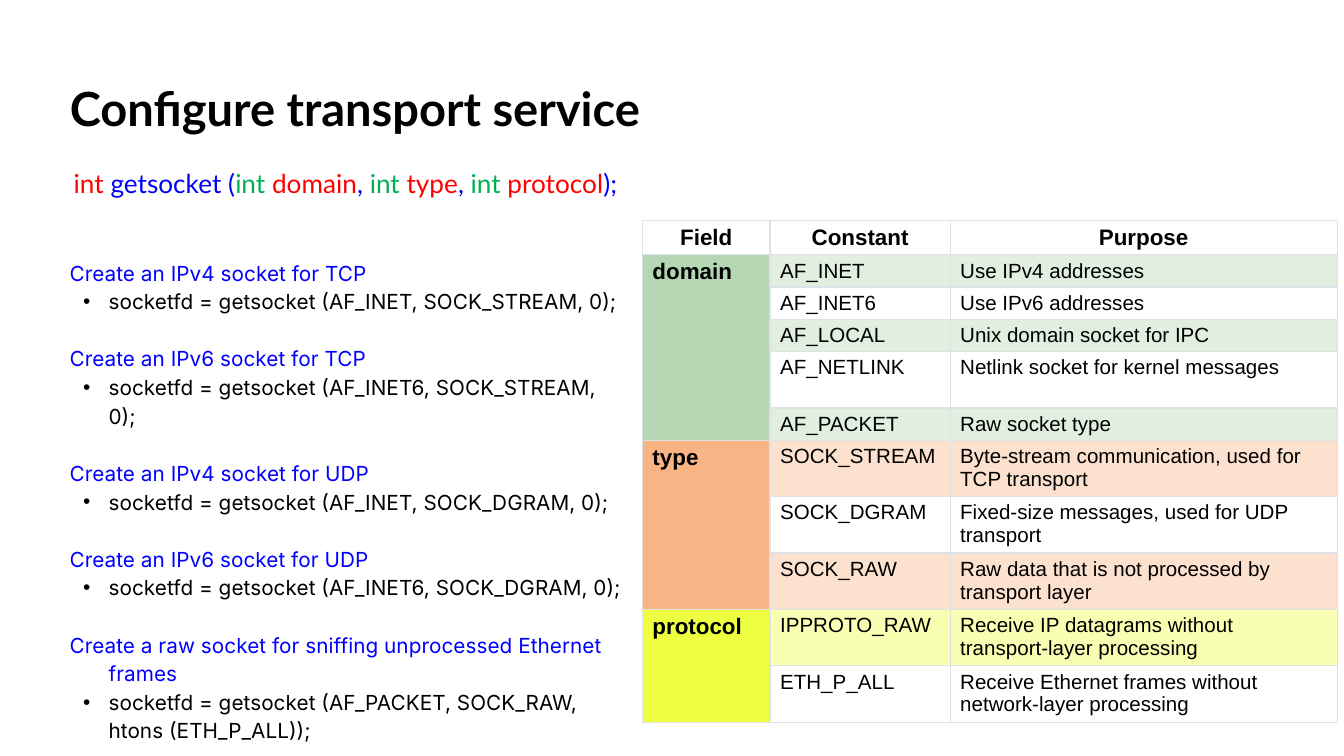
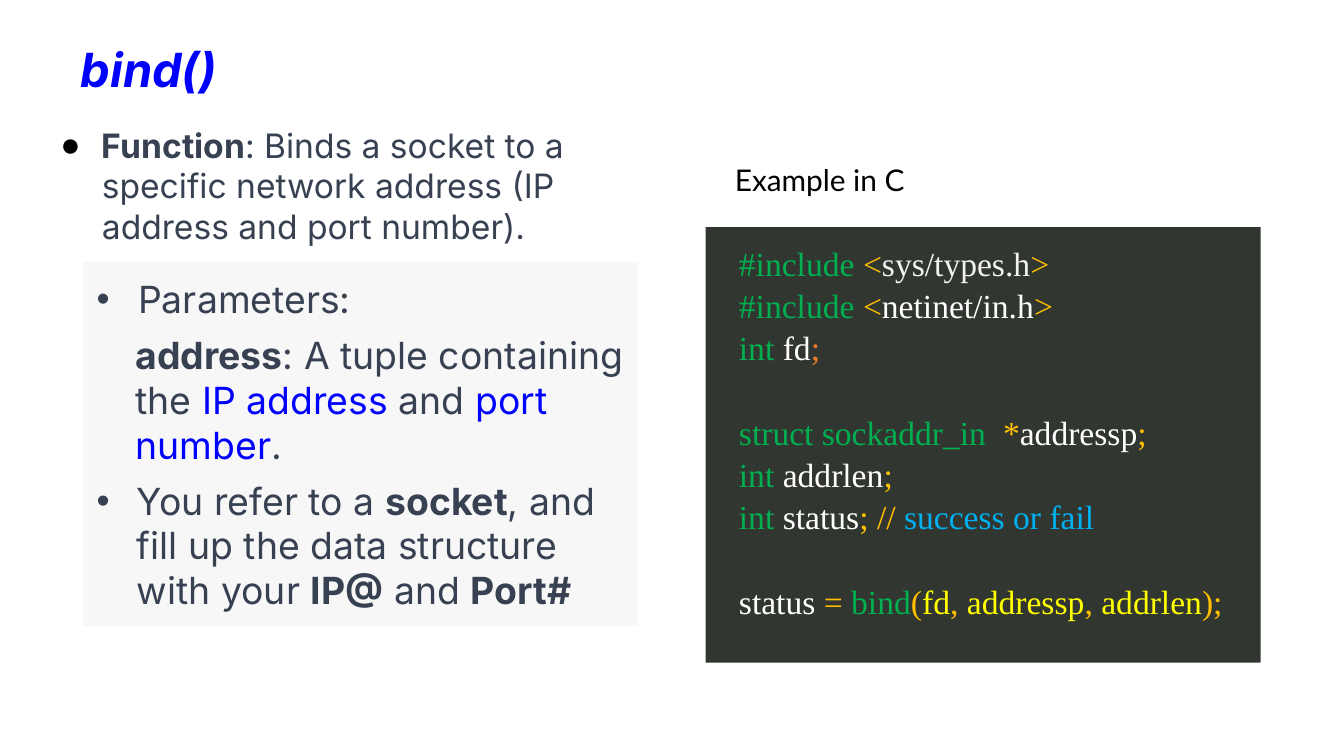
from itertools import product

from lxml.etree import SubElement
from pptx import Presentation
from pptx.dml.color import RGBColor
from pptx.enum.shapes import MSO_SHAPE
from pptx.enum.text import MSO_ANCHOR, MSO_AUTO_SIZE, PP_ALIGN
from pptx.oxml.ns import qn
from pptx.util import Inches, Pt

BLACK = RGBColor(0x00, 0x00, 0x00)
WHITE = RGBColor(0xFF, 0xFF, 0xFF)
BLUE = RGBColor(0x00, 0x00, 0xFF)
RED = RGBColor(0xFF, 0x00, 0x00)
GREEN = RGBColor(0x00, 0xB0, 0x50)
SLATE = RGBColor(0x37, 0x41, 0x51)
GOLD = RGBColor(0xFF, 0xC0, 0x00)
ORANGE = RGBColor(0xF3, 0x7D, 0x2A)
YELLOW = RGBColor(0xFF, 0xFF, 0x00)
SKY = RGBColor(0x00, 0xB0, 0xF0)
OFF_WHITE = RGBColor(0xF2, 0xF2, 0xF2)
PANEL_GREY = RGBColor(0xF7, 0xF7, 0xF8)
CODE_GREY = RGBColor(0x32, 0x36, 0x30)
GRID_GREY = RGBColor(0xDE, 0xE2, 0xE6)
DOMAIN_DARK = RGBColor(0xB5, 0xD6, 0xB2)
DOMAIN_LIGHT = RGBColor(0xE1, 0xEF, 0xE0)
TYPE_DARK = RGBColor(0xF8, 0xB4, 0x84)
TYPE_LIGHT = RGBColor(0xFC, 0xE1, 0xCE)
PROTOCOL_DARK = RGBColor(0xEE, 0xFF, 0x41)
PROTOCOL_LIGHT = RGBColor(0xF8, 0xFF, 0xB3)

TITLE_FORMAT = {"size": Pt(25.2), "bold": True}
SIGNATURE_FORMAT = {"name": "Lato", "size": Pt(14)}
USAGE_FORMAT = {"name": "Inter", "size": Pt(11.1)}
FUNCTION_FORMAT = {"name": "Inter", "size": Pt(18)}
PARAMETER_FORMAT = {"name": "Inter", "size": Pt(20)}
CAPTION_FORMAT = {"name": "Lato", "size": Pt(16)}
CODE_FORMAT = {"name": "Times New Roman", "size": Pt(18)}
HEADING_FORMAT = {"name": "Arial", "size": Pt(12), "bold": True}
ENTRY_FORMAT = {"name": "Arial", "size": Pt(11), "bold": False}

SIGNATURE = [
    ("int ", RED), ("getsocket (", BLUE),
    ("int", GREEN), (" domain", RED), (", ", BLUE),
    ("int", GREEN), (" type", RED), (", ", BLUE),
    ("int", GREEN), (" protocol", RED), (");", BLUE),
]
USAGES = [
    ("Create an IPv4 socket for TCP", "AF_INET, SOCK_STREAM, 0"),
    ("Create an IPv6 socket for TCP", "AF_INET6, SOCK_STREAM, 0"),
    ("Create an IPv4 socket for UDP", "AF_INET, SOCK_DGRAM, 0"),
    ("Create an IPv6 socket for UDP", "AF_INET6, SOCK_DGRAM, 0"),
    ("Create a raw socket for sniffing unprocessed Ethernet frames",
     "AF_PACKET, SOCK_RAW, htons (ETH_P_ALL)"),
]
HEADINGS = ["Field", "Constant", "Purpose"]
FIELDS = [
    ("domain", DOMAIN_DARK, DOMAIN_LIGHT, [
        ("AF_INET", "Use IPv4 addresses"),
        ("AF_INET6", "Use IPv6 addresses"),
        ("AF_LOCAL", "Unix domain socket for IPC"),
        ("AF_NETLINK", "Netlink socket for kernel messages"),
        ("AF_PACKET", "Raw socket type"),
    ]),
    ("type", TYPE_DARK, TYPE_LIGHT, [
        ("SOCK_STREAM", "Byte-stream communication, used for TCP transport"),
        ("SOCK_DGRAM", "Fixed-size messages, used for UDP transport"),
        ("SOCK_RAW", "Raw data that is not processed by transport layer"),
    ]),
    ("protocol", PROTOCOL_DARK, PROTOCOL_LIGHT, [
        ("IPPROTO_RAW", "Receive IP datagrams without transport-layer processing"),
        ("ETH_P_ALL", "Receive Ethernet frames without network-layer processing"),
    ]),
]
COLUMN_WIDTHS = [0.95, 1.34, 2.88]
SHORT_ROW, TALL_ROW = 0.24, 0.42
WRAP_LENGTH = 30

BOLD = {"bold": True}
PARAMETERS = [
    (0.31, -0.31, "•", [("Parameters:", SLATE)]),
    (0.29, 0, None, [
        ("address", SLATE, BOLD), (": A tuple containing the ", SLATE),
        ("IP address ", BLUE), ("and ", SLATE), ("port number", BLUE), (".", SLATE)]),
    (0.3, -0.31, "•", [
        ("You refer to a ", SLATE), ("socket", SLATE, BOLD),
        (", and fill up the data structure with your ", SLATE),
        ("IP@", SLATE, BOLD), (" and ", SLATE), ("Port#", SLATE, BOLD)]),
]
CODE_BLOCKS = [
    [
        [("#include ", GREEN), ("<", GOLD), ("sys/types.h", OFF_WHITE), (">", GOLD)],
        [("#include ", GREEN), ("<", GOLD), ("netinet/in.h", WHITE), (">", GOLD)],
        [("int ", GREEN), ("fd", WHITE), (";", ORANGE)],
    ],
    [
        [("struct sockaddr_in  ", GREEN), ("*", GOLD), ("addressp", WHITE), (";", GOLD)],
        [("int ", GREEN), ("addrlen", WHITE), (";", GOLD)],
        [("int ", GREEN), ("status", WHITE), ("; //", GOLD), (" success or fail", SKY)],
    ],
    [
        [("status ", WHITE), ("= ", GOLD), ("bind", GREEN), ("(", GOLD),
         ("fd", YELLOW), (", ", GOLD), ("addressp", YELLOW), (", ", GOLD),
         ("addrlen", YELLOW), (");", GOLD)],
    ],
]


def set_all(target, values):
    for attribute, value in values.items():
        setattr(target, attribute, value)


def add_colour(parent, colour):
    SubElement(parent, qn("a:srgbClr"), val=str(colour))


def prepare_frame(frame, edge=0.1, anchor=MSO_ANCHOR.TOP, fit=MSO_AUTO_SIZE.NONE):
    set_all(frame, {
        "word_wrap": True,
        "auto_size": fit,
        "vertical_anchor": anchor,
        "margin_left": Inches(0.1),
        "margin_right": Inches(0.1),
        "margin_top": Inches(edge),
        "margin_bottom": Inches(edge),
    })
    return frame


def write(frame, runs, font, margin=0, indent=0, bullet=None, bullet_colour=None, **spacing):
    paragraph = frame.paragraphs[0]
    if paragraph.runs:
        paragraph = frame.add_paragraph()
    set_all(paragraph, {"alignment": PP_ALIGN.LEFT, **spacing})
    properties = paragraph._p.get_or_add_pPr()
    properties.set("marL", str(Inches(margin)))
    properties.set("indent", str(Inches(indent)))
    if bullet:
        if bullet_colour is not None:
            add_colour(SubElement(properties, qn("a:buClr")), bullet_colour)
        SubElement(properties, qn("a:buFont"), typeface="Arial")
        SubElement(properties, qn("a:buChar"), char=bullet)
    for text, colour, *extra in runs:
        run = paragraph.add_run()
        run.text = text
        run.font.color.rgb = colour
        set_all(run.font, font)
        for values in extra:
            set_all(run.font, values)


def add_titled_slide(deck, title, left, top, width, colour, **font):
    slide = deck.slides.add_slide(deck.slide_layouts[5])
    heading = slide.shapes.title
    set_all(heading, {"left": Inches(left), "top": Inches(top),
                      "width": Inches(width), "height": Inches(0.63)})
    frame = prepare_frame(heading.text_frame, anchor=MSO_ANCHOR.MIDDLE)
    write(frame, [(title, colour)], {**TITLE_FORMAT, **font})
    return slide


def add_text(slide, box, **layout):
    area = slide.shapes.add_textbox(*map(Inches, box))
    return prepare_frame(area.text_frame, **layout)


def add_panel(slide, box, colour, **layout):
    panel = slide.shapes.add_shape(MSO_SHAPE.RECTANGLE, *map(Inches, box))
    panel.shadow.inherit = False
    panel.fill.solid()
    panel.fill.fore_color.rgb = colour
    panel.line.fill.background()
    return prepare_frame(panel.text_frame, **layout)


def fill_cell(cell, colour):
    properties = cell._tc.get_or_add_tcPr()
    for side in ("L", "R", "T", "B"):
        border = SubElement(properties, qn(f"a:ln{side}"), w=str(Pt(0.75)))
        add_colour(SubElement(border, qn("a:solidFill")), GRID_GREY)
    cell.fill.solid()
    cell.fill.fore_color.rgb = colour
    set_all(cell, {"margin_left": Pt(5.4), "margin_right": Pt(5.4),
                   "margin_top": Pt(2.5), "margin_bottom": Pt(2.5)})


def add_field_table(slide):
    entries = [entry for *_, group in FIELDS for entry in group]
    heights = [SHORT_ROW] + [TALL_ROW if len(purpose) > WRAP_LENGTH else SHORT_ROW
                             for _, purpose in entries]
    table = slide.shapes.add_table(
        len(heights), len(COLUMN_WIDTHS), Inches(4.78), Inches(1.64),
        Inches(sum(COLUMN_WIDTHS)), Inches(sum(heights))).table
    for column, width in zip(table.columns, COLUMN_WIDTHS):
        column.width = Inches(width)
    for row, height in zip(table.rows, heights):
        row.height = Inches(height)

    for column, heading in enumerate(HEADINGS):
        cell = table.cell(0, column)
        fill_cell(cell, WHITE)
        cell.vertical_anchor = MSO_ANCHOR.BOTTOM
        write(cell.text_frame, [(heading, BLACK)], HEADING_FORMAT)
        cell.text_frame.paragraphs[0].alignment = PP_ALIGN.CENTER

    start = 1
    for field, dark, light, group in FIELDS:
        for offset, column in product(range(len(group)), range(3)):
            cell = table.cell(start + offset, column)
            if column == 0:
                fill_cell(cell, dark)
            else:
                fill_cell(cell, WHITE if offset % 2 else light)
                write(cell.text_frame, [(group[offset][column - 1], BLACK)], ENTRY_FORMAT)
        first = table.cell(start, 0)
        write(first.text_frame, [(field, BLACK)], HEADING_FORMAT)
        first.merge(table.cell(start + len(group) - 1, 0))
        start += len(group)


def add_usages(slide):
    frame = add_text(slide, (0.42, 1.81, 4.34, 3.75))
    for number, (purpose, arguments) in enumerate(USAGES):
        write(frame, [(purpose, BLUE)], USAGE_FORMAT, 0.29, -0.29,
              line_spacing=1.15, space_before=Pt(15.4 if number else 0))
        write(frame, [(f"socketfd = getsocket ({arguments});", BLACK)], USAGE_FORMAT,
              0.29, -0.19, "•", line_spacing=1.15, space_before=Pt(0))


def add_code(slide):
    frame = add_panel(slide, (5.25, 1.69, 4.13, 3.24), CODE_GREY)
    for number, block in enumerate(CODE_BLOCKS):
        for row, tokens in enumerate(block):
            gap = 22.5 if number and row == 0 else 0
            write(frame, tokens, CODE_FORMAT, 0.15, line_spacing=1.05, space_before=Pt(gap))


def build_transport_slide(deck):
    slide = add_titled_slide(deck, "Configure transport service", 0.42, 0.49, 9.08,
                             BLACK, name="Lato")
    add_usages(slide)
    signature = add_text(slide, (0.35, 1.04, 4.65, 0.54), anchor=MSO_ANCHOR.BOTTOM)
    write(signature, SIGNATURE, SIGNATURE_FORMAT, 0.1)
    add_field_table(slide)


def build_bind_slide(deck):
    slide = add_titled_slide(deck, "bind()", 0.5, 0.2, 9, BLUE, name="Inter", italic=True)
    parameters = add_panel(slide, (0.62, 1.95, 4.13, 2.71), PANEL_GREY, edge=0.05,
                           anchor=MSO_ANCHOR.MIDDLE, fit=MSO_AUTO_SIZE.SHAPE_TO_FIT_TEXT)
    for margin, indent, bullet, runs in PARAMETERS:
        write(parameters, runs, PARAMETER_FORMAT, margin, indent, bullet, space_before=Pt(6))
    add_code(slide)
    function = add_text(slide, (0.25, 0.83, 4.89, 1.12))
    write(function, [("Function", SLATE, BOLD),
                     (": Binds a socket to a specific network address "
                      "(IP address and port number).", SLATE)],
          FUNCTION_FORMAT, 0.41, -0.31, "●", BLACK)
    caption = add_text(slide, (5.25, 0.94, 4.13, 0.63), anchor=MSO_ANCHOR.BOTTOM)
    write(caption, [("Example in C", BLACK)], CAPTION_FORMAT, 0.5, -0.38)


def main():
    deck = Presentation()
    deck.slide_width = Inches(10)
    deck.slide_height = deck.slide_width * 9 // 16
    build_transport_slide(deck)
    build_bind_slide(deck)
    deck.save("out.pptx")


if __name__ == "__main__":
    main()
